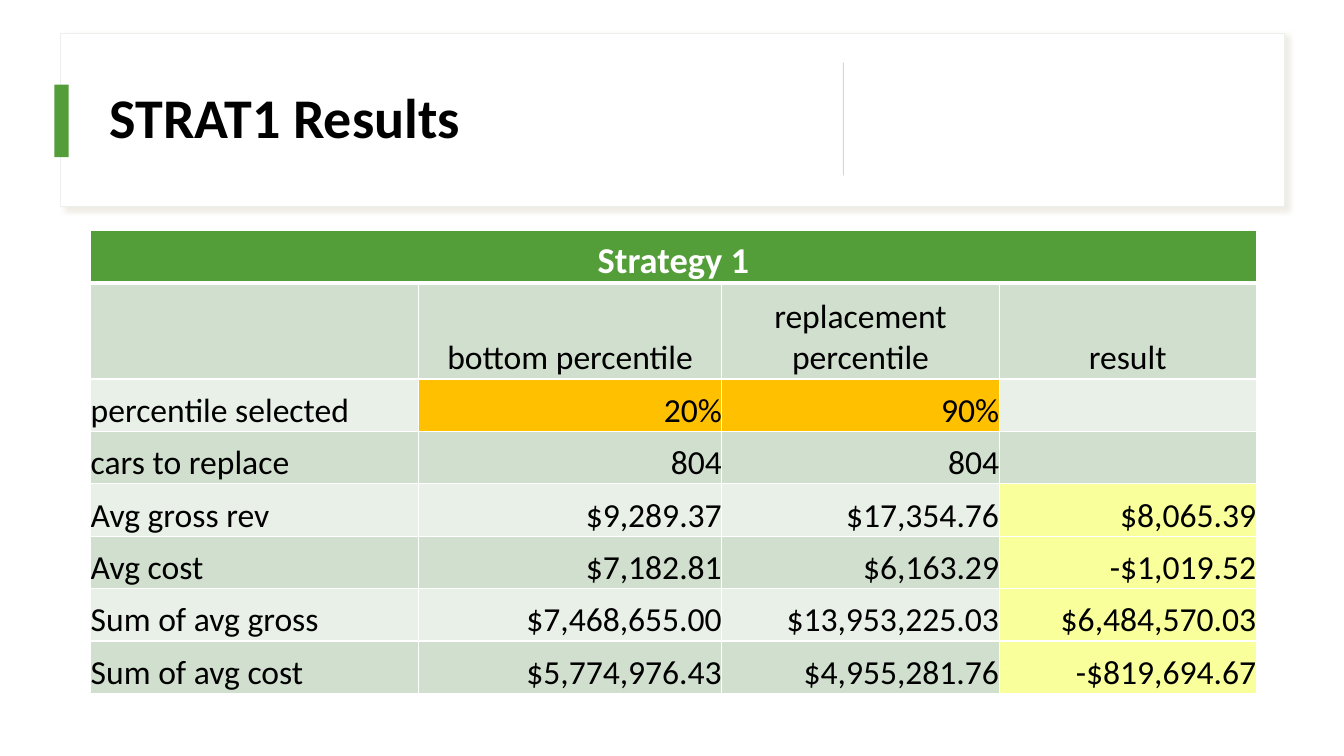
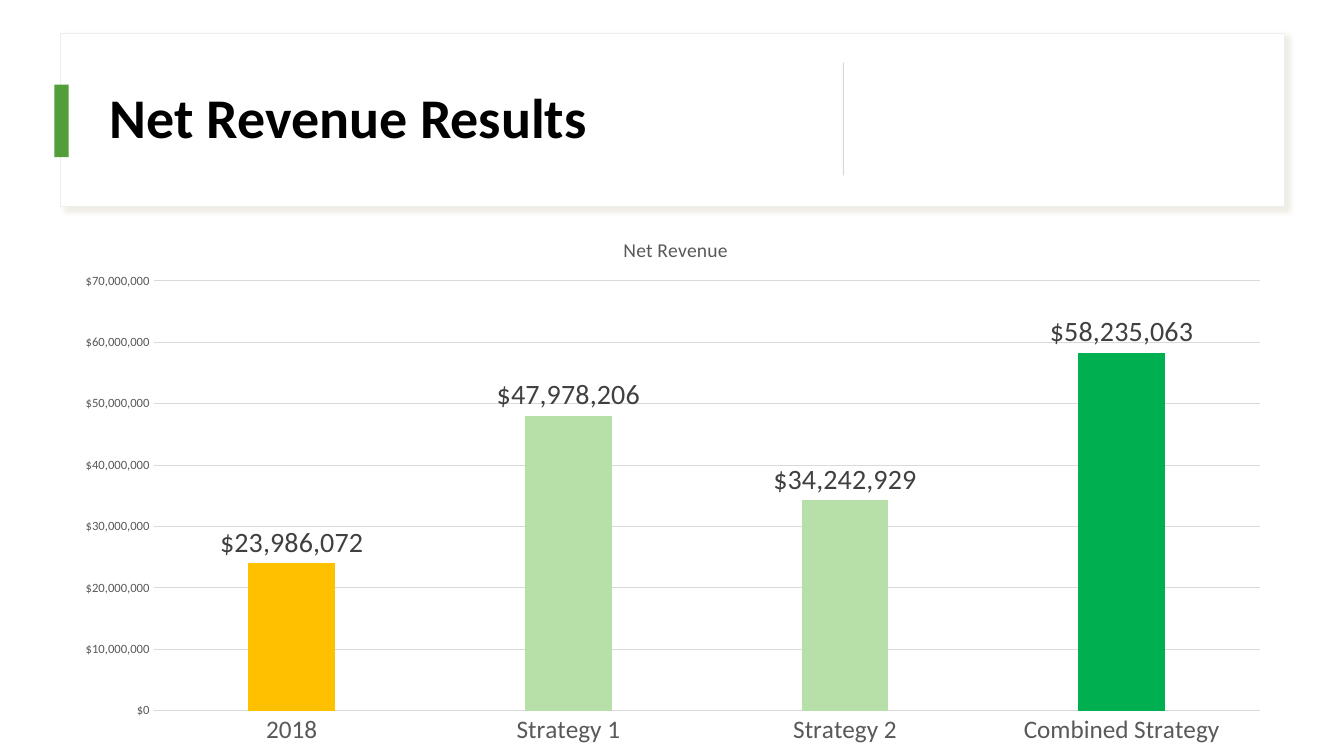
"""Build two result slides: a strategy table and a net revenue chart."""
import pptx
import pptx.chart.data
import pptx.dml.color
import pptx.enum.chart
import pptx.enum.shapes
import pptx.enum.text
import pptx.oxml
import pptx.oxml.ns
import pptx.util

EMU_PER_PX = 9144
TITLE_ONLY = 5

STRATEGY_ROWS = [
    ["Strategy 1", "", "", ""],
    ["", "bottom percentile", "replacement percentile", "result"],
    ["percentile selected", "20%", "90%", ""],
    ["cars to replace", "804", "804", ""],
    ["Avg gross rev", "$9,289.37", "$17,354.76", "$8,065.39"],
    ["Avg cost", "$7,182.81", "$6,163.29", "-$1,019.52"],
    ["Sum of avg gross", "$7,468,655.00", "$13,953,225.03", "$6,484,570.03"],
    ["Sum of avg cost", "$5,774,976.43", "$4,955,281.76", "-$819,694.67"],
]
NET_REVENUE = {
    "2018": 23986072,
    "Strategy 1": 47978206,
    "Strategy 2": 34242929,
    "Combined Strategy": 58235063,
}


def px(*lengths):
    return [pptx.util.Emu(length * EMU_PER_PX) for length in lengths]


def colour(hex_string):
    return pptx.dml.color.RGBColor.from_string(hex_string)


def xml(prefix, tag, body):
    namespaces = pptx.oxml.ns.nsdecls(prefix)
    return pptx.oxml.parse_xml(f"<{prefix}:{tag} {namespaces}>{body}</{prefix}:{tag}>")


class Deck:
    FONT = "Calibri"
    BLACK, WHITE = "000000", "FFFFFF"
    GREEN, GOLD, YELLOW = "549E39", "FFC000", "F9FF9B"
    BANDS = ["E9F0E8", "D1DFCE"]
    PANEL_LINE, RULE, SHADOW = "EBF0ED", "CDDBD3", "CAC1A8"
    GREY, DARK_GREY, GRID = "595959", "404040", "D9D9D9"
    BARS = [GOLD, "B7E0A8", "B7E0A8", "00B050"]
    DOLLARS = '"$"#,##0'

    def __init__(self):
        self.presentation = pptx.Presentation()
        width, height = px(1333, 750)
        self.presentation.slide_width = width
        self.presentation.slide_height = height
        self.slide = None

    def font(self, font, size, hex_string, bold=False):
        font.name = self.FONT
        font.size = pptx.util.Pt(size)
        font.bold = bold
        font.color.rgb = colour(hex_string)

    def run(self, paragraph, text, size, hex_string, bold=False):
        run = paragraph.add_run()
        run.text = text
        self.font(run.font, size, hex_string, bold)

    def rectangle(self, left, top, width, height, fill, line=None):
        shape = self.slide.shapes.add_shape(
            pptx.enum.shapes.MSO_SHAPE.RECTANGLE, *px(left, top, width, height))
        shape.shadow.inherit = False
        shape.fill.solid()
        shape.fill.fore_color.rgb = colour(fill)
        if line:
            shape.line.color.rgb = colour(line)
            shape.line.width = pptx.util.Pt(1)
        else:
            shape.line.fill.background()
        return shape

    def cast_shadow(self, shape):
        effects = shape._element.spPr.find(pptx.oxml.ns.qn("a:effectLst"))
        effects.append(pptx.oxml.parse_xml(
            f'<a:outerShdw {pptx.oxml.ns.nsdecls("a")} blurRad="50800" dist="38100"'
            f' dir="2700000" algn="tl" rotWithShape="0"><a:srgbClr val="{self.SHADOW}">'
            '<a:alpha val="30000"/></a:srgbClr></a:outerShdw>'))

    def add_slide(self, title):
        layout = self.presentation.slide_layouts[TITLE_ONLY]
        self.slide = self.presentation.slides.add_slide(layout)
        self.cast_shadow(self.rectangle(60, 33, 1214, 172, self.WHITE, self.PANEL_LINE))
        self.title(title)
        self.rectangle(54, 84, 14, 72, self.GREEN)
        self.rectangle(836, 62, 1, 112, self.RULE)

    def title(self, text):
        shape = self.slide.shapes.title
        shape.left, shape.top, shape.width, shape.height = px(99, 44, 703, 150)
        self.slide.shapes._spTree.append(shape._element)
        frame = shape.text_frame
        frame.word_wrap = True
        frame.auto_size = pptx.enum.text.MSO_AUTO_SIZE.NONE
        frame.vertical_anchor = pptx.enum.text.MSO_ANCHOR.MIDDLE
        paragraph = frame.paragraphs[0]
        paragraph.alignment = pptx.enum.text.PP_ALIGN.LEFT
        paragraph.line_spacing = 0.9
        self.run(paragraph, text, 40, self.BLACK, bold=True)

    def table(self, left, top, column_widths, row_heights, rows):
        frame = self.slide.shapes.add_table(
            len(rows), len(column_widths),
            *px(left, top, sum(column_widths), sum(row_heights)))
        table = frame.table
        for column, width in zip(table.columns, px(*column_widths)):
            column.width = width
        for row, height in zip(table.rows, px(*row_heights)):
            row.height = height
        for row_index, texts in enumerate(rows):
            for column_index, text in enumerate(texts):
                self.cell(table.cell(row_index, column_index), text, row_index, column_index)
        table.cell(0, 0).merge(table.cell(0, len(column_widths) - 1))

    def cell(self, cell, text, row, column):
        align = pptx.enum.text.PP_ALIGN
        header = row == 0
        cell.margin_left = cell.margin_right = cell.margin_top = cell.margin_bottom = 0
        cell.vertical_anchor = pptx.enum.text.MSO_ANCHOR.BOTTOM
        self.borders(cell, row)
        fill = self.GREEN if header else self.BANDS[row % 2]
        if row == 2 and column in (1, 2):
            fill = self.GOLD
        elif row > 3 and column == 3:
            fill = self.YELLOW
        cell.fill.solid()
        cell.fill.fore_color.rgb = colour(fill)
        if text:
            paragraph = cell.text_frame.paragraphs[0]
            if row < 2:
                paragraph.alignment = align.CENTER
            else:
                paragraph.alignment = align.RIGHT if column else align.LEFT
            self.run(paragraph, text, 26 if header else 24,
                     self.WHITE if header else self.BLACK, bold=header)

    def borders(self, cell, row):
        properties = cell._tc.get_or_add_tcPr()
        thick_side = {0: "lnB", 1: "lnT"}.get(row)
        for side in ("lnL", "lnR", "lnT", "lnB"):
            line = xml("a", side, f'<a:solidFill><a:srgbClr val="{self.WHITE}"/></a:solidFill>')
            line.set("w", str(pptx.util.Pt(3 if side == thick_side else 1)))
            properties.append(line)

    def place(self, element, index, **layout):
        for old in element.findall(pptx.oxml.ns.qn("c:layout")):
            element.remove(old)
        body = "".join(f'<c:{name} val="{value}"/>' for name, value in layout.items())
        element.insert(index, xml("c", "layout", f"<c:manualLayout>{body}</c:manualLayout>"))

    def column_chart(self, left, top, width, height, title, values):
        data = pptx.chart.data.CategoryChartData(number_format=self.DOLLARS)
        data.categories = list(values)
        data.add_series("Series 1", list(values.values()))
        chart = self.slide.shapes.add_chart(
            pptx.enum.chart.XL_CHART_TYPE.COLUMN_CLUSTERED,
            *px(left, top, width, height), data).chart
        self.font(chart.font, 10, self.BLACK)
        chart.has_legend = False
        chart.has_title = True
        self.run(chart.chart_title.text_frame.paragraphs[0], title, 14, self.GREY)
        self.place(chart.chart_title._element, 1,
                   xMode="edge", yMode="edge", x=0.457, y=0.04)
        self.place(chart._chartSpace.chart.plotArea, 0, layoutTarget="inner",
                   xMode="edge", yMode="edge", x=0.076, y=0.129, w=0.904, h=0.788)
        self.axes(chart)
        self.columns(chart.plots[0])

    def axes(self, chart):
        for axis, size in ((chart.category_axis, 18), (chart.value_axis, 9)):
            axis.major_tick_mark = pptx.enum.chart.XL_TICK_MARK.NONE
            axis.minor_tick_mark = pptx.enum.chart.XL_TICK_MARK.NONE
            self.font(axis.tick_labels.font, size, self.GREY)
        value_axis = chart.value_axis
        value_axis.minimum_scale = 0
        value_axis.maximum_scale = 70000000
        value_axis.major_unit = 10000000
        value_axis.tick_labels.number_format = self.DOLLARS
        value_axis.tick_labels.number_format_is_linked = False
        value_axis.format.line.fill.background()
        value_axis.has_major_gridlines = True
        for line in (value_axis.major_gridlines.format.line, chart.category_axis.format.line):
            line.color.rgb = colour(self.GRID)
            line.width = pptx.util.Pt(0.75)

    def columns(self, plot):
        plot.vary_by_categories = False
        plot.gap_width = 219
        plot.overlap = -27
        for index, bar in enumerate(self.BARS):
            fill = plot.series[0].points[index].format.fill
            fill.solid()
            fill.fore_color.rgb = colour(bar)
        plot.has_data_labels = True
        labels = plot.data_labels
        labels.show_value = True
        labels.position = pptx.enum.chart.XL_LABEL_POSITION.OUTSIDE_END
        labels.number_format = self.DOLLARS
        labels.number_format_is_linked = False
        self.font(labels.font, 20, self.DARK_GREY)


def main():
    deck = Deck()
    deck.add_slide("STRAT1 Results")
    deck.table(90, 229, [325, 301, 275, 255], [52, 95] + [52] * 6, STRATEGY_ROWS)
    deck.add_slide("Net Revenue Results")
    deck.column_chart(60, 209, 1214, 541, "Net Revenue", NET_REVENUE)
    deck.presentation.save("out.pptx")


if __name__ == "__main__":
    main()
